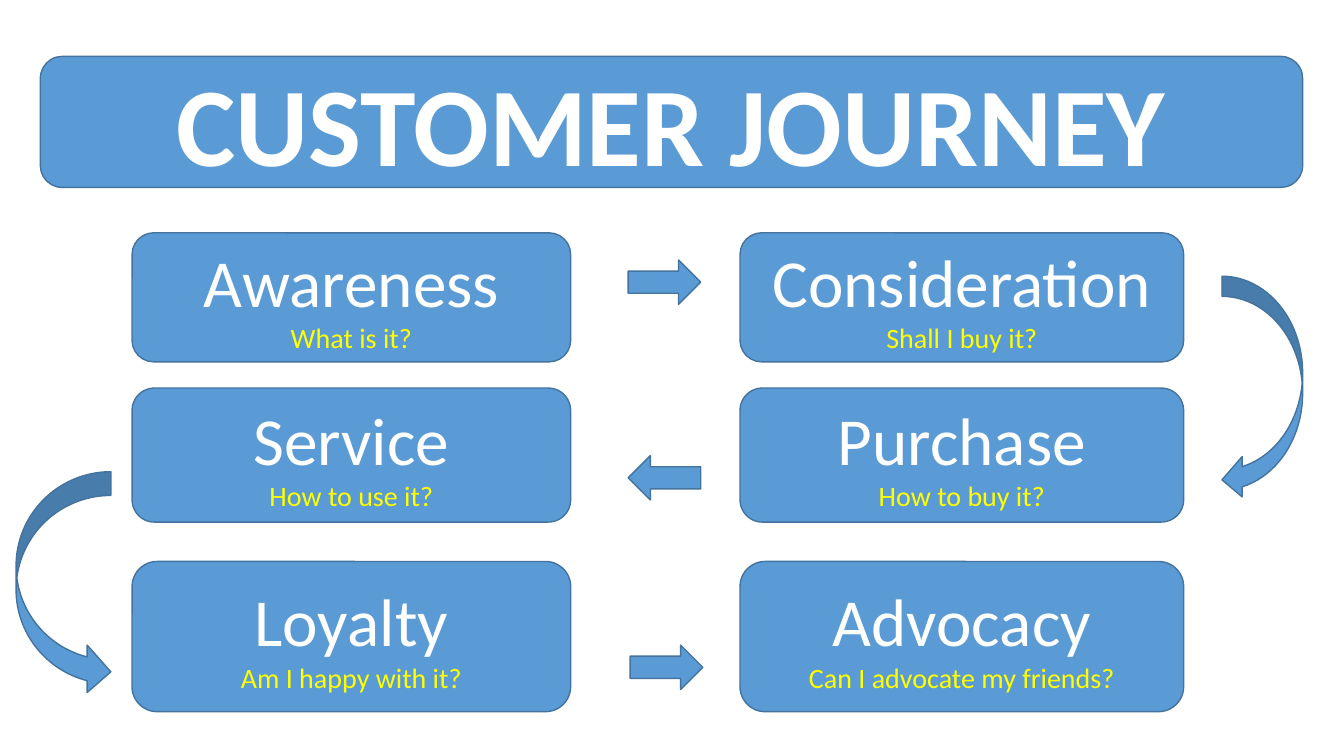
from pptx import Presentation
from pptx.dml.color import RGBColor
from pptx.enum.shapes import MSO_SHAPE
from pptx.enum.text import MSO_ANCHOR, PP_ALIGN
from pptx.util import Inches, Pt

ROUNDED = MSO_SHAPE.ROUNDED_RECTANGLE
RIGHT = MSO_SHAPE.RIGHT_ARROW
CURVED_LEFT = MSO_SHAPE.CURVED_LEFT_ARROW
CURVED_RIGHT = MSO_SHAPE.CURVED_RIGHT_ARROW
MIDDLE = MSO_ANCHOR.MIDDLE
CENTER = PP_ALIGN.CENTER

BLUE, EDGE, WHITE, YELLOW = "5B9BD5", "43739E", "FFFFFF", "FFFF00"
FONT = "Calibri"

TITLE = "CUSTOMER JOURNEY"
TITLE_AREA = (0.4, 0.56, 12.52, 1.3)

COLUMNS = [(1.31, 4.35), (7.34, 4.4)]  # left, width
ROWS = [  # top, height, (stage, question) for each column
    (2.31, 1.28, [("Awareness", "What is it?"),
                  ("Consideration", "Shall I buy it?")]),
    (3.85, 1.33, [("Service", "How to use it?"),
                  ("Purchase", "How to buy it?")]),
    (5.57, 1.49, [("Loyalty", "Am I happy with it?"),
                  ("Advocacy", "Can I advocate my friends?")]),
]

ARROW_SIZE = (0.72, 0.44)
STRAIGHT_ARROWS = [(6.23, 2.58, 0), (6.23, 4.52, 180), (6.25, 6.4, 0)]  # left, top, rotation
CURVED_ARROWS = [
    (CURVED_LEFT, (12.12, 2.74, 0.8, 2.22)),
    (CURVED_RIGHT, (0.16, 4.68, 0.94, 2.22)),
]


def color(value):
    return RGBColor.from_string(value)


def add_blue_shape(page, kind, area):
    shape = page.shapes.add_shape(kind, *map(Inches, area))
    shape.shadow.inherit = False
    shape.fill.solid()
    shape.fill.fore_color.rgb = color(BLUE)
    shape.line.color.rgb = color(EDGE)
    shape.line.width = Pt(1)
    return shape


def add_box(page, area, lines):
    """Add a rounded box; each line is (text, size, colour, bold)."""
    frame = add_blue_shape(page, ROUNDED, area).text_frame
    frame.word_wrap = True
    frame.vertical_anchor = MIDDLE
    for index, (text, size, text_color, bold) in enumerate(lines):
        para = frame.add_paragraph() if index else frame.paragraphs[0]
        para.alignment = CENTER
        span = para.add_run()
        span.text = text
        span.font.name = FONT
        span.font.size = Pt(size)
        span.font.bold = bold
        span.font.color.rgb = color(text_color)


def main():
    deck = Presentation()
    deck.slide_width, deck.slide_height = Inches(13.33), Inches(7.5)
    page = deck.slides.add_slide(deck.slide_layouts[6])

    add_box(page, TITLE_AREA, [(TITLE, 80, WHITE, True)])
    for top, height, stages in ROWS:
        for (left, width), (stage, question) in zip(COLUMNS, stages):
            add_box(page, (left, top, width, height),
                    [(stage, 48, WHITE, False), (question, 20, YELLOW, False)])

    for left, top, rotation in STRAIGHT_ARROWS:
        arrow = add_blue_shape(page, RIGHT, (left, top, *ARROW_SIZE))
        arrow.rotation = rotation
    for kind, area in CURVED_ARROWS:
        add_blue_shape(page, kind, area)

    deck.save("out.pptx")


if __name__ == "__main__":
    main()
